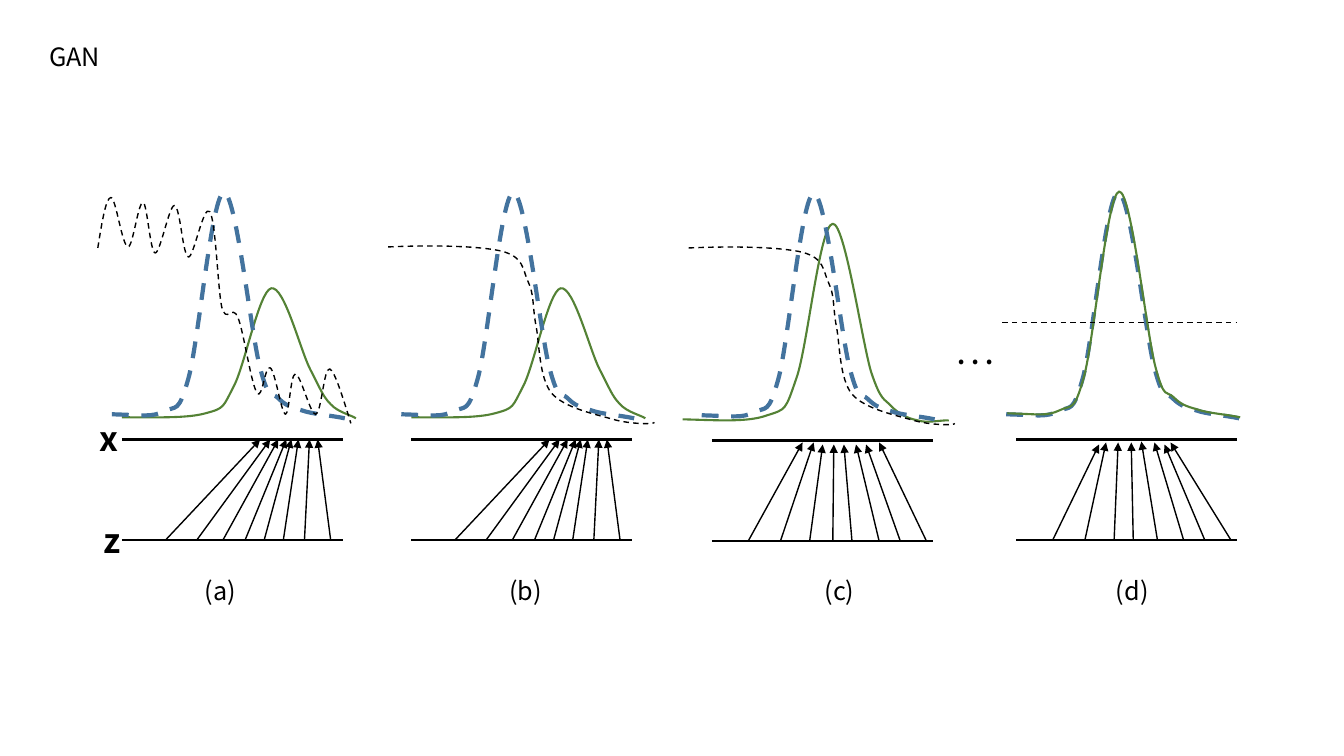
from dataclasses import dataclass

from pptx import Presentation
from pptx.dml.color import RGBColor
from pptx.dml.line import LineFormat
from pptx.enum.dml import MSO_LINE
from pptx.enum.shapes import MSO_CONNECTOR
from pptx.enum.text import MSO_AUTO_SIZE
from pptx.oxml.xmlchemy import OxmlElement
from pptx.shapes.shapetree import GroupShapes, SlideShapes
from pptx.util import Emu, Pt

SCALE = 9144
COLORS = {"ink": "000000", "data": "43739E", "generated": "548235"}
MAIN_FONT = "Noto Sans CJK SC"
AXIS_LEFT, AXIS_RIGHT = 121, 340
X_AXIS, Z_AXIS = 436, 536
CAPTION_TOP = 566

Point = tuple[int, int]
Shapes = SlideShapes | GroupShapes


@dataclass(frozen=True)
class Stroke:
    color: str
    width: float
    dashed: bool = False


@dataclass(frozen=True)
class Curve:
    stroke: Stroke
    points: list[Point]


@dataclass(frozen=True)
class Label:
    text: str
    left: int
    top: int
    width: int
    height: int = 40
    size: int = 18
    bold: bool = False
    font: str = MAIN_FONT


@dataclass(frozen=True)
class Panel:
    shift: int
    drop: int
    curves: list[Curve]
    arrow_tails: list[int]
    arrow_heads: list[Point]
    caption: Label


AXIS = Stroke("ink", 1.5)
ARROW = Stroke("ink", 1)
DATA = Stroke("data", 3, True)
GENERATED = Stroke("generated", 1.5)
DISCRIMINATOR = Stroke("ink", 1, True)

DATA_POINTS = [
    (111, 411), (145, 412), (150, 414), (163, 408), (175, 402), (177, 411), (187, 375),
    (197, 339), (210, 193), (222, 191), (234, 190), (249, 331), (258, 365),
    (267, 399), (269, 388), (276, 395), (283, 402), (288, 404), (299, 407),
    (310, 411), (328, 412), (342, 415),
]
EARLY_GENERATED = [
    (121, 414), (158, 414), (186, 415), (204, 410), (223, 405), (221, 404), (232, 383),
    (243, 362), (257, 289), (269, 286), (282, 283), (298, 348), (308, 367),
    (318, 386), (320, 393), (328, 401), (335, 409), (349, 412), (353, 415),
]
LATER_GENERATED = [
    (92, 415), (129, 416), (157, 418), (176, 411), (195, 405), (194, 406), (205, 374),
    (216, 343), (228, 222), (241, 221), (253, 220), (270, 338), (279, 368),
    (289, 398), (292, 394), (299, 402), (307, 410), (315, 414), (325, 416),
    (334, 419), (346, 416), (356, 416),
]
FINAL_GENERATED = [(x + 1, y - 1) for x, y in DATA_POINTS]
NOISY_DISCRIMINATOR = [
    (97, 246), (101, 221), (105, 196), (110, 196), (115, 196), (121, 244), (127, 245),
    (132, 245), (137, 200), (142, 201), (146, 202), (149, 251), (154, 251),
    (159, 251), (168, 203), (173, 204), (179, 205), (181, 254), (187, 255),
    (192, 256), (202, 202), (208, 210), (214, 218), (216, 287), (220, 305),
    (225, 322), (230, 301), (236, 315), (242, 330), (249, 381), (255, 390),
    (260, 398), (263, 361), (268, 365), (273, 368), (279, 410), (283, 411),
    (287, 412), (288, 371), (293, 371), (298, 371), (308, 412), (313, 411),
    (319, 410), (321, 365), (327, 366), (332, 368), (340, 394), (348, 420),
]
SMOOTH_DISCRIMINATOR = [
    (98, 245), (143, 243), (187, 244), (210, 249), (233, 255), (231, 267), (237, 280),
    (243, 292), (241, 306), (245, 325), (248, 343), (248, 375), (260, 390),
    (273, 405), (304, 411), (321, 416), (338, 421), (363, 421), (362, 419),
]
EARLY_TAILS = [164, 195, 221, 243, 262, 281, 302, 328]
EARLY_HEADS = [(x, X_AXIS) for x in (258, 268, 276, 284, 289, 296, 307, 315)]

PANELS = [
    Panel(0, 0,
          [Curve(GENERATED, EARLY_GENERATED), Curve(DATA, DATA_POINTS),
           Curve(DISCRIMINATOR, NOISY_DISCRIMINATOR)],
          EARLY_TAILS, EARLY_HEADS, Label("(a)", 193, CAPTION_TOP, 58)),
    Panel(287, 0,
          [Curve(GENERATED, EARLY_GENERATED), Curve(DATA, DATA_POINTS),
           Curve(DISCRIMINATOR, SMOOTH_DISCRIMINATOR)],
          EARLY_TAILS, EARLY_HEADS, Label("(b)", 495, CAPTION_TOP, 58)),
    Panel(585, 1,
          [Curve(GENERATED, LATER_GENERATED), Curve(DATA, DATA_POINTS),
           Curve(DISCRIMINATOR, SMOOTH_DISCRIMINATOR)],
          [157, 189, 218, 241, 260, 287, 308, 334],
          [(211, 438), (222, 438), (231, 440), (242, 440),
           (252, 440), (264, 440), (274, 440), (287, 438)],
          Label("(c)", 808, CAPTION_TOP, 58)),
    Panel(887, 0,
          [Curve(DATA, DATA_POINTS), Curve(GENERATED, FINAL_GENERATED)],
          [157, 189, 218, 237, 261, 287, 308, 334],
          [(203, 441), (210, 439), (222, 439), (235, 439),
           (245, 438), (258, 439), (268, 441), (274, 439)],
          Label("(d)", 1097, CAPTION_TOP, 58)),
]
LABELS = [
    Label("GAN", 39, 36, 72),
    Label("x", 89, 410, 37, 50, 24, True),
    Label("z", 93, 511, 37, 50, 24, True),
    Label(". . .", 940, 332, 68, bold=True, font="Noto Sans CJK JP"),
]


def px(length: int) -> Emu:
    return Emu(length * SCALE)


def apply_stroke(line: LineFormat, stroke: Stroke) -> None:
    line.color.rgb = RGBColor.from_string(COLORS[stroke.color])
    line.width = Pt(stroke.width)
    if stroke.dashed:
        line.dash_style = MSO_LINE.DASH


def draw_line(shapes: Shapes, start: Point, end: Point, stroke: Stroke,
              arrow: bool = False) -> None:
    connector = shapes.add_connector(MSO_CONNECTOR.STRAIGHT, *map(px, start + end))
    apply_stroke(connector.line, stroke)
    properties = connector.element.xpath("./p:spPr")[0]
    if arrow:
        tail = OxmlElement("a:tailEnd")
        tail.set("type", "triangle")
        properties.xpath("./a:ln")[0].append(tail)
    properties.append(OxmlElement("a:effectLst"))


def draw_curve(shapes: Shapes, points: list[Point], stroke: Stroke) -> None:
    builder = shapes.build_freeform(*points[0], scale=SCALE)
    builder.add_line_segments(points[1:], close=False)
    shape = builder.convert_to_shape()
    shape.shadow.inherit = False
    shape.fill.background()
    apply_stroke(shape.line, stroke)
    segments = shape.element.xpath(".//a:lnTo")
    for index in range(0, len(segments), 3):
        bezier = OxmlElement("a:cubicBezTo")
        segments[index].addprevious(bezier)
        for segment in segments[index:index + 3]:
            bezier.append(segment[0])
            segment.getparent().remove(segment)


def draw_label(shapes: Shapes, label: Label) -> None:
    box = shapes.add_textbox(px(label.left), px(label.top), px(label.width), px(label.height))
    box.text_frame.word_wrap = False
    box.text_frame.auto_size = MSO_AUTO_SIZE.SHAPE_TO_FIT_TEXT
    para = box.text_frame.paragraphs[0]
    span = para.add_run()
    span.text = label.text
    span.font.name = label.font
    span.font.size = Pt(label.size)
    span.font.bold = label.bold
    span.font.color.rgb = RGBColor.from_string(COLORS["ink"])


def draw_panel(shapes: Shapes, panel: Panel) -> None:
    def place(x: int, y: int) -> Point:
        return x + panel.shift, y + panel.drop

    for level in (X_AXIS, Z_AXIS):
        draw_line(shapes, place(AXIS_LEFT, level), place(AXIS_RIGHT, level), AXIS)
    for tail, head in zip(panel.arrow_tails, panel.arrow_heads):
        draw_line(shapes, place(tail, Z_AXIS), place(*head), ARROW, arrow=True)
    for curve in panel.curves:
        draw_curve(shapes, [place(*point) for point in curve.points], curve.stroke)
    draw_label(shapes, panel.caption)


def main() -> None:
    deck = Presentation()
    deck.slide_width, deck.slide_height = px(1333), px(750)
    page = deck.slides.add_slide(deck.slide_layouts[6])
    for panel in PANELS:
        draw_panel(page.shapes.add_group_shape().shapes, panel)
    draw_line(page.shapes, (994, 320), (1227, 320), DISCRIMINATOR)
    for label in LABELS:
        draw_label(page.shapes, label)
    deck.save("out.pptx")


if __name__ == "__main__":
    main()
